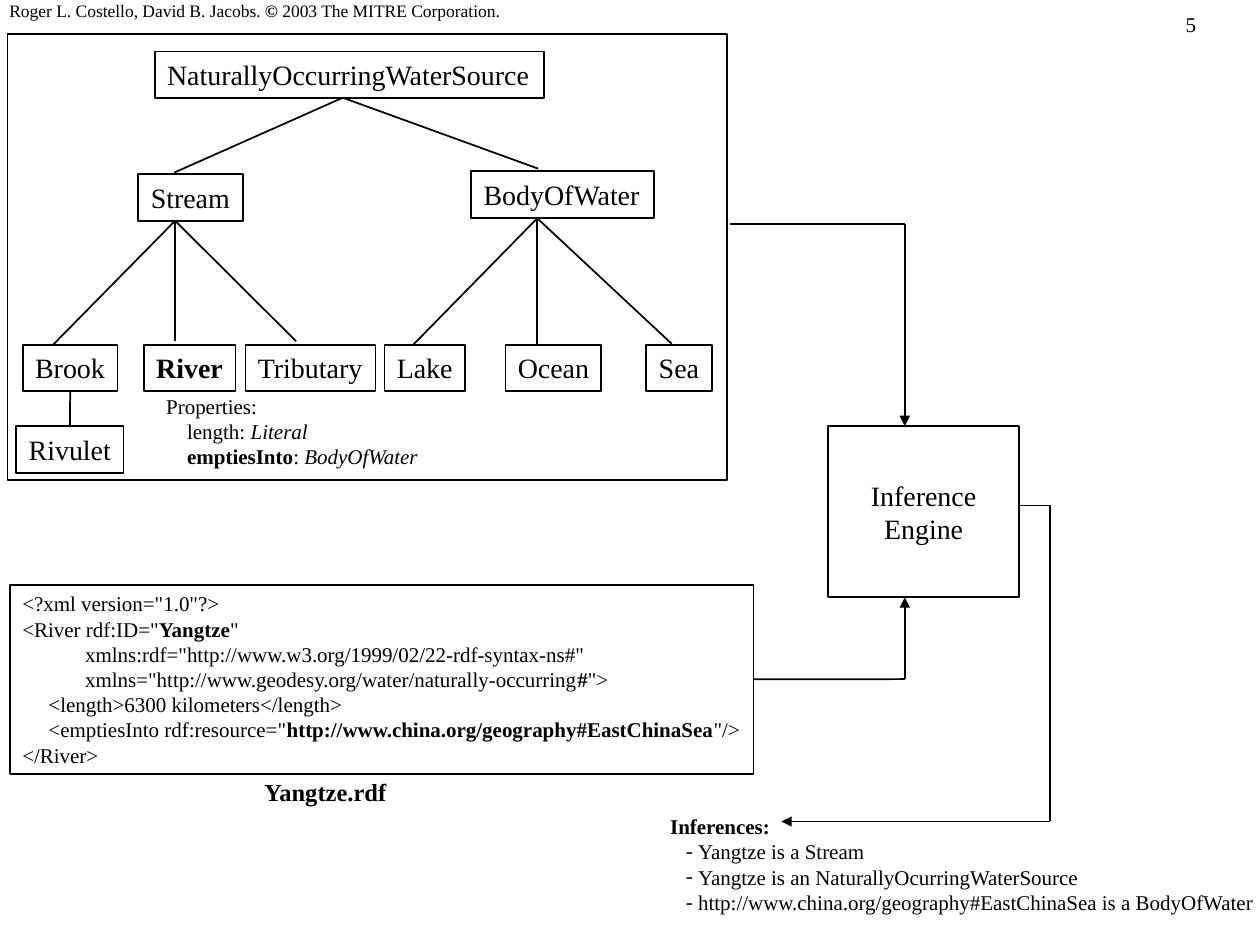
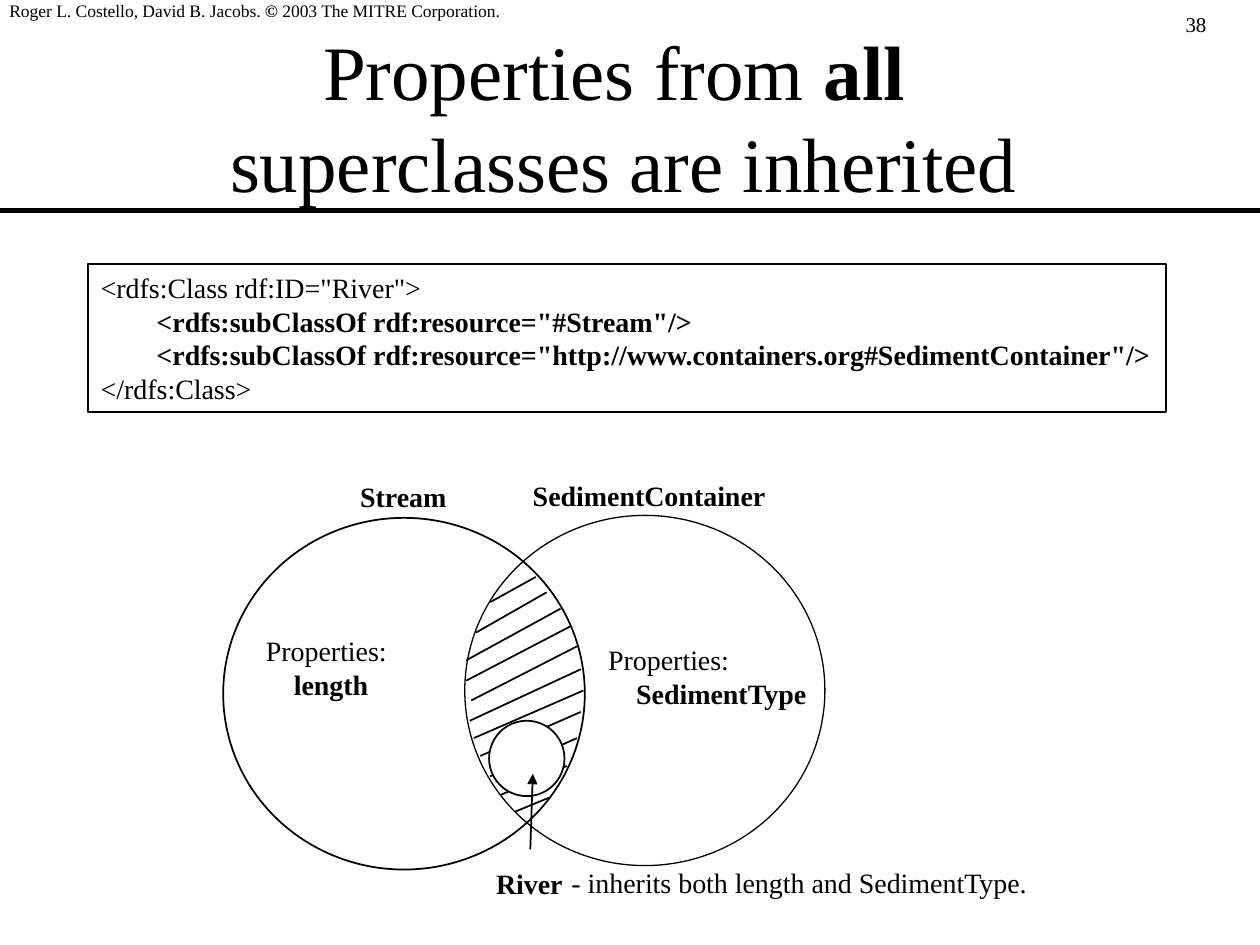
"""Build two slides on RDF inference and inherited properties."""
import pptx
import pptx.dml.color
import pptx.enum.shapes
import pptx.enum.text
import pptx.oxml
import pptx.oxml.ns
import pptx.util

Cm, Pt = pptx.util.Cm, pptx.util.Pt
SHAPE = pptx.enum.shapes.MSO_SHAPE
ALIGN = pptx.enum.text.PP_ALIGN
ANCHOR = pptx.enum.text.MSO_ANCHOR
BLACK = pptx.dml.color.RGBColor(0, 0, 0)
WHITE = pptx.dml.color.RGBColor(255, 255, 255)
FONT = "Times New Roman"
NS = pptx.oxml.ns.nsdecls("a")

COPYRIGHT = [["Roger L. Costello, David B. Jacobs. ", ("©", "b"), " 2003 The MITRE Corporation."]]

NODE_HEIGHT = 0.94
LEAF_TOP = 6.95
FRAME = (0.15, 0.69, 14.5, 8.99)
CLASSES = [
    ("NaturallyOccurringWaterSource", "", 3.12, 1.04, 7.85),
    ("Stream", "", 2.79, 3.51, 2.11),
    ("BodyOfWater", "", 9.5, 3.45, 3.68),
    ("Brook", "", 0.46, LEAF_TOP, 1.91),
    ("River", "b", 2.9, LEAF_TOP, 1.85),
    ("Tributary", "", 4.95, LEAF_TOP, 2.62),
    ("Lake", "", 7.75, LEAF_TOP, 1.63),
    ("Ocean", "", 10.19, LEAF_TOP, 1.93),
    ("Sea", "", 13.03, LEAF_TOP, 1.32),
    ("Rivulet", "", 0.33, 8.59, 2.16),
]
BRANCHES = [
    ((6.91, 1.97), [(3.51, 3.48), (10.85, 3.4)]),
    ((3.53, 4.45), [(1.07, 6.95), (3.53, 6.88), (5.97, 6.88)]),
    ((10.83, 4.4), [(8.33, 6.95), (10.83, 6.93), (13.54, 6.93)]),
]
RIVER_PROPERTIES = [
    ["Properties:"],
    ["length: ", ("Literal", "i")],
    [("emptiesInto", "b"), ": ", ("BodyOfWater", "i")],
]
ENGINE = [["Inference"], ["Engine"]]
YANGTZE_CODE = [
    ['<?xml version="1.0"?>'],
    ['<River rdf:ID="', ("Yangtze", "b"), '"'],
    ['            xmlns:rdf="http://www.w3.org/1999/02/22-rdf-syntax-ns#"'],
    ['            xmlns="http://www.geodesy.org/water/naturally-occurring', ("#", "b"), '">'],
    ["     <length>6300 kilometers</length>"],
    ['     <emptiesInto rdf:resource="',
     ("http://www.china.org/geography#EastChinaSea", "b"), '"/>'],
    ["</River>"],
]
INFERENCES = [
    [("Inferences:", "b")],
    ["Yangtze is a Stream"],
    ["Yangtze is an NaturallyOcurringWaterSource"],
    ["http://www.china.org/geography#EastChinaSea is a BodyOfWater"],
]
FLOWS = [
    [(14.71, 4.52), (18.24, 4.52), (18.24, 8.59)],
    [(20.55, 10.19), (21.16, 10.19), (21.16, 16.56), (15.75, 16.56)],
]
CODE_CORNER, CODE_ARROW_TIP = (18.24, 13.69), (18.24, 12.04)

TITLE = [["Properties from ", ("all ", "b"), "\n", "superclasses are inherited"]]
RIVER_CODE = [
    ['<rdfs:Class rdf:ID="River">'],
    [('        <rdfs:subClassOf rdf:resource="#Stream"/>', "b")],
    [('        <rdfs:subClassOf rdf:resource="http://www.containers.org#SedimentContainer"/>', "b")],
    ["</rdfs:Class>"],
]
VENN_LABELS = [
    ([[("Stream", "b")]], (7.01, 9.55, 2.26, 0.94)),
    ([[("SedimentContainer", "b")]], (10.49, 9.53, 5.18, 0.94)),
    ([[("River", "b")]], (9.75, 17.35, 1.85, 0.94)),
    ([["- inherits both length and SedimentType."]], (11.27, 17.32, 9.74, 0.94)),
    ([["Properties:"], [("length", "b")]], (5.11, 12.65, 2.95, 1.63)),
    ([["Properties:"], [("SedimentType", "b")]], (12.01, 12.83, 4.55, 1.63)),
]
HATCHING = [
    ((10.8, 11.63), (9.88, 12.14)),
    ((11.02, 11.94), (9.6, 12.75)),
    ((11.3, 12.27), (9.4, 13.31)),
    ((11.51, 12.62), (9.4, 13.72)),
    ((11.63, 13.03), (9.5, 14.12)),
    ((11.71, 13.49), (9.47, 14.53)),
    ((11.76, 13.92), (9.55, 14.88)),
    ((11.71, 14.35), (9.68, 15.24)),
    ((11.63, 14.88), (9.88, 15.65)),
    ((11.43, 15.44), (10.08, 16.03)),
    ((11.07, 16.08), (10.39, 16.36)),
]


def write(sp, paragraphs, size, align=ALIGN.LEFT, anchor=ANCHOR.TOP, indent=0, bullet=None):
    """Fill a shape with paragraphs; indent and bullet apply after the first one."""
    tf = sp.text_frame
    tf.word_wrap = True
    tf.vertical_anchor = anchor
    if align == ALIGN.LEFT:
        tf.margin_right = 0
    for i, runs in enumerate(paragraphs):
        p = tf.add_paragraph() if i else tf.paragraphs[0]
        p.alignment = align
        if i and indent:
            pPr = p._p.get_or_add_pPr()
            pPr.set("marL", str(Pt(indent)))
            if bullet:
                pPr.set("indent", str(-Pt(7)))
                for mark in (f'buFont {NS} typeface="{FONT}"', f'buChar {NS} char="{bullet}"'):
                    pPr.append(pptx.oxml.parse_xml(f"<a:{mark}/>"))
        for item in runs:
            text, style = (item, "") if isinstance(item, str) else item
            if text == "\n":
                p.add_line_break()
                continue
            r = p.add_run()
            r.text = text
            r.font.name, r.font.size = FONT, Pt(size)
            r.font.color.rgb = BLACK
            r.font.bold, r.font.italic = "b" in style, "i" in style
    return tf


def text(slide, box, paragraphs, size, **options):
    """Add a text box."""
    return write(slide.shapes.add_textbox(*map(Cm, box)), paragraphs, size, **options)


def outline(slide, kind, box, filled=False, width=1):
    """Add a black-edged shape."""
    sp = slide.shapes.add_shape(kind, *map(Cm, box))
    sp.shadow.inherit = False
    if filled:
        sp.fill.solid()
        sp.fill.fore_color.rgb = WHITE
    else:
        sp.fill.background()
    sp.line.color.rgb = BLACK
    sp.line.width = Pt(width)
    return sp


def label_box(slide, box, paragraphs, size):
    """Add an outlined rectangle with text."""
    sp = outline(slide, SHAPE.RECTANGLE, box)
    write(sp, paragraphs, size)
    return sp


def line(slide, start, end, width=1, arrow=False):
    """Add a straight black line, with an arrowhead at its end if asked."""
    cx = slide.shapes.add_connector(
        pptx.enum.shapes.MSO_CONNECTOR.STRAIGHT, *map(Cm, start + end))
    cx.line.color.rgb = BLACK
    cx.line.width = Pt(width)
    if arrow:
        cx.line._get_or_add_ln().append(
            pptx.oxml.parse_xml(f'<a:tailEnd {NS} type="triangle"/>'))
    cx._element.spPr.append(pptx.oxml.parse_xml(f"<a:effectLst {NS}/>"))
    return cx


def new_slide(prs, number):
    """Add a blank slide with the shared copyright line and slide number."""
    slide = prs.slides.add_slide(prs.slide_layouts[6])
    text(slide, (23.65, 0.11, 1.7, 0.76), [[str(number)]], 12)
    tf = text(slide, (0, 0, 10.3, 0.45), COPYRIGHT, 10)
    tf.margin_left, tf.margin_top, tf.margin_bottom = Cm(0.19), 0, 0
    return slide


def inference_slide(prs):
    """Draw the class tree, the instance document and the inference flow."""
    slide = new_slide(prs, 5)
    outline(slide, SHAPE.RECTANGLE, FRAME, filled=True)
    nodes = {}
    for name, style, left, top, width in CLASSES:
        box = (left, top, width, NODE_HEIGHT)
        nodes[name] = label_box(slide, box, [[(name, style)]], 16)
    for parent, children in BRANCHES:
        for child in children:
            line(slide, parent, child)
    cx = line(slide, (1.41, 7.89), (1.41, 8.59))
    cx.begin_connect(nodes["Brook"], 2)
    cx.end_connect(nodes["Rivulet"], 0)
    text(slide, (3.1, 7.8, 5.61, 1.78), RIVER_PROPERTIES, 12, indent=12)

    engine = outline(slide, SHAPE.RECTANGLE, (16.69, 8.59, 3.86, 3.45), filled=True)
    write(engine, ENGINE, 16, align=ALIGN.CENTER, anchor=ANCHOR.MIDDLE)
    code = label_box(slide, (0.2, 11.79, 14.99, 3.81), YANGTZE_CODE, 12)
    text(slide, (5.08, 15.54, 3.02, 0.86), [[("Yangtze.rdf", "b")]], 14)
    text(slide, (13.26, 16.28, 12.14, 2.29), INFERENCES, 12, indent=16, bullet="-")

    for points in FLOWS:
        for start, end in zip(points, points[1:]):
            line(slide, start, end, arrow=end == points[-1])
    line(slide, (15.19, 13.69), CODE_CORNER).begin_connect(code, 3)
    line(slide, CODE_CORNER, CODE_ARROW_TIP, arrow=True)


def inheritance_slide(prs):
    """Draw the title, the class definition and the overlapping classes."""
    slide = new_slide(prs, 38)
    text(slide, (1.78, 0.74, 21.59, 3.18), TITLE, 44, align=ALIGN.CENTER,
         anchor=ANCHOR.MIDDLE)
    line(slide, (0, 4.24), (25.4, 4.24), width=3)
    label_box(slide, (1.78, 5.33, 21.72, 2.97), RIVER_CODE, 16)
    outline(slide, SHAPE.OVAL, (4.5, 10.44, 7.29, 7.09), filled=True)
    outline(slide, SHAPE.OVAL, (9.37, 10.39, 7.26, 7.06), width=0.75)
    for paragraphs, box in VENN_LABELS:
        text(slide, box, paragraphs, 16, indent=16)
    for start, end in HATCHING:
        line(slide, start, end)
    outline(slide, SHAPE.OVAL, (9.86, 14.53, 1.52, 1.52), filled=True)
    line(slide, (10.69, 17.12), (10.74, 15.6), arrow=True)


def main():
    """Build and save the presentation."""
    prs = pptx.Presentation()
    prs.slide_width, prs.slide_height = Cm(25.4), Cm(19.05)
    inference_slide(prs)
    inheritance_slide(prs)
    prs.save("out.pptx")


if __name__ == "__main__":
    main()
